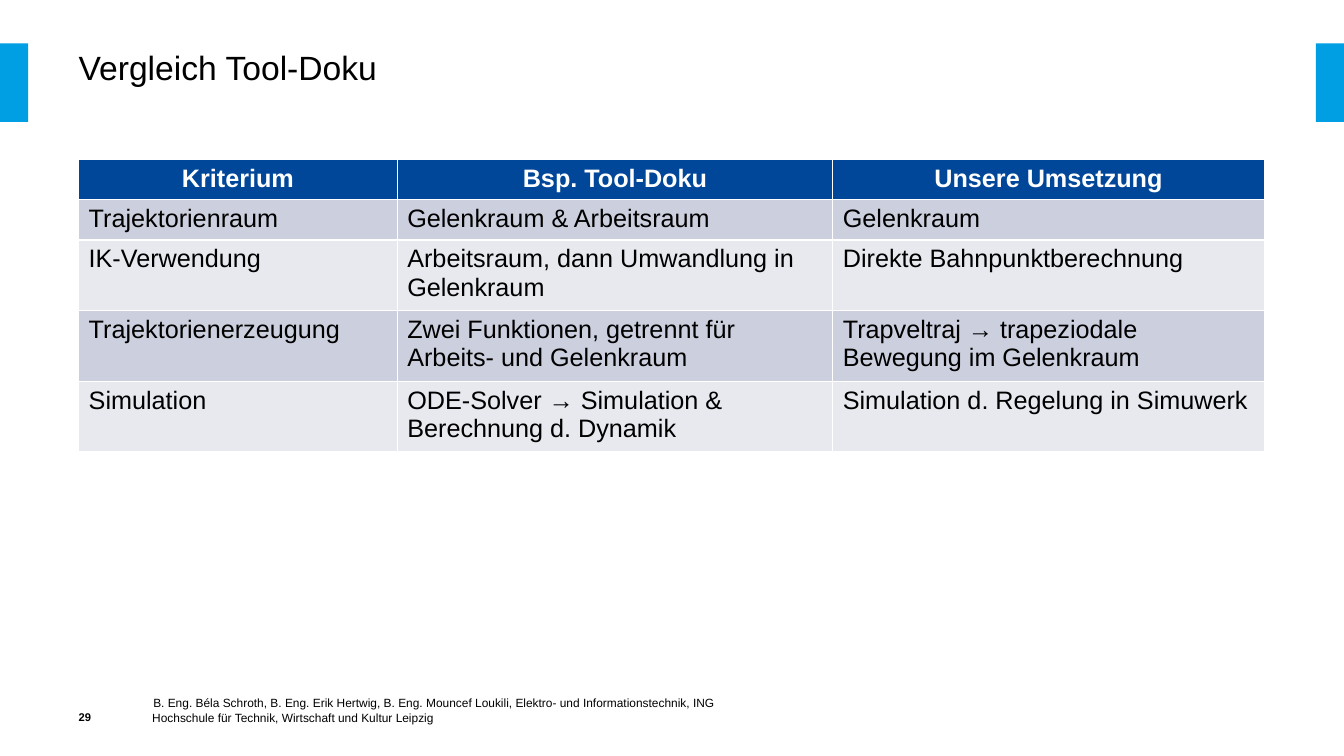
from pptx import Presentation
from pptx.dml.color import RGBColor
from pptx.enum.shapes import MSO_SHAPE
from pptx.enum.text import MSO_ANCHOR, PP_ALIGN
from pptx.util import Inches, Pt

COLORS = {
    "black": "000000",
    "white": "FFFFFF",
    "accent": "009EE3",
    "header": "004699",
    "odd_row": "CCCFDE",
    "even_row": "E7E9EF",
}
FONT = "Arial"

COMPARISON = [
    ("Kriterium", "Bsp. Tool-Doku", "Unsere Umsetzung"),
    ("Trajektorienraum", "Gelenkraum & Arbeitsraum", "Gelenkraum"),
    ("IK-Verwendung", "Arbeitsraum, dann Umwandlung in Gelenkraum",
     "Direkte Bahnpunktberechnung"),
    ("Trajektorienerzeugung", "Zwei Funktionen, getrennt für Arbeits- und Gelenkraum",
     "Trapveltraj → trapeziodale Bewegung im Gelenkraum"),
    ("Simulation", "ODE-Solver → Simulation & Berechnung d. Dynamik",
     "Simulation d. Regelung in Simuwerk"),
]
COLUMN_WIDTHS = (3.16, 4.32, 4.28)
ROW_HEIGHTS = (0.4, 0.4, 0.66, 0.66, 0.66)


def write_text(frame, text, size=18, color="black", bold=False,
               align=PP_ALIGN.LEFT, line_spacing=None):
    paragraph = frame.paragraphs[0]
    paragraph.alignment = align
    paragraph.line_spacing = line_spacing
    run = paragraph.add_run()
    run.text = text
    run.font.name = FONT
    run.font.size = Pt(size)
    run.font.bold = bold
    run.font.color.rgb = RGBColor.from_string(COLORS[color])


class SlideBuilder:
    """Adds styled elements to the current slide."""

    def __init__(self, slide):
        self.slide = slide

    def fill(self, target, color):
        target.fill.solid()
        target.fill.fore_color.rgb = RGBColor.from_string(COLORS[color])

    def bar(self, left, top, width, height):
        shape = self.slide.shapes.add_shape(
            MSO_SHAPE.RECTANGLE, Inches(left), Inches(top), Inches(width), Inches(height))
        shape.shadow.inherit = False
        shape.line.fill.background()
        self.fill(shape, "accent")

    def text(self, text, left, top, width, height, anchor=MSO_ANCHOR.BOTTOM, **style):
        box = self.slide.shapes.add_textbox(
            Inches(left), Inches(top), Inches(width), Inches(height))
        frame = box.text_frame
        frame.word_wrap = True
        frame.vertical_anchor = anchor
        frame.margin_left = frame.margin_right = 0
        frame.margin_top = frame.margin_bottom = 0
        write_text(frame, text, **style)

    def table(self, rows, left, top, widths, heights):
        table = self.slide.shapes.add_table(
            len(rows), len(widths), Inches(left), Inches(top),
            Inches(sum(widths)), Inches(sum(heights))).table
        for column, width in zip(table.columns, widths):
            column.width = Inches(width)
        for row, height in zip(table.rows, heights):
            row.height = Inches(height)
        for row_index, values in enumerate(rows):
            for column_index, value in enumerate(values):
                cell = table.cell(row_index, column_index)
                if row_index == 0:
                    self.fill(cell, "header")
                    write_text(cell.text_frame, value, color="white", bold=True,
                               align=PP_ALIGN.CENTER)
                else:
                    self.fill(cell, "odd_row" if row_index % 2 else "even_row")
                    write_text(cell.text_frame, value)


def main():
    presentation = Presentation()
    presentation.slide_width = Inches(13.33)
    presentation.slide_height = Inches(7.5)
    builder = SlideBuilder(presentation.slides.add_slide(presentation.slide_layouts[6]))

    for left in (0, 13.05):
        builder.bar(left, 0.43, 0.28, 0.78)
    builder.text("Vergleich Tool-Doku", 0.78, 0.43, 11.76, 0.78,
                 anchor=MSO_ANCHOR.TOP, size=24, line_spacing=1.08)
    builder.table(COMPARISON, 0.78, 1.58, COLUMN_WIDTHS, ROW_HEIGHTS)
    builder.text("B. Eng. Béla Schroth, B. Eng. Erik Hertwig, B. Eng. Mouncef Loukili, "
                 "Elektro- und Informationstechnik, ING",
                 1.52, 6.79, 5.72, 0.25, size=8.5, line_spacing=Pt(11))
    builder.text("Hochschule für Technik, Wirtschaft und Kultur Leipzig",
                 1.51, 7.06, 5.31, 0.13, size=8.5, line_spacing=Pt(11))
    builder.text("29", 0.78, 6.79, 0.73, 0.39, size=8, bold=True)

    presentation.save("out.pptx")


if __name__ == "__main__":
    main()
